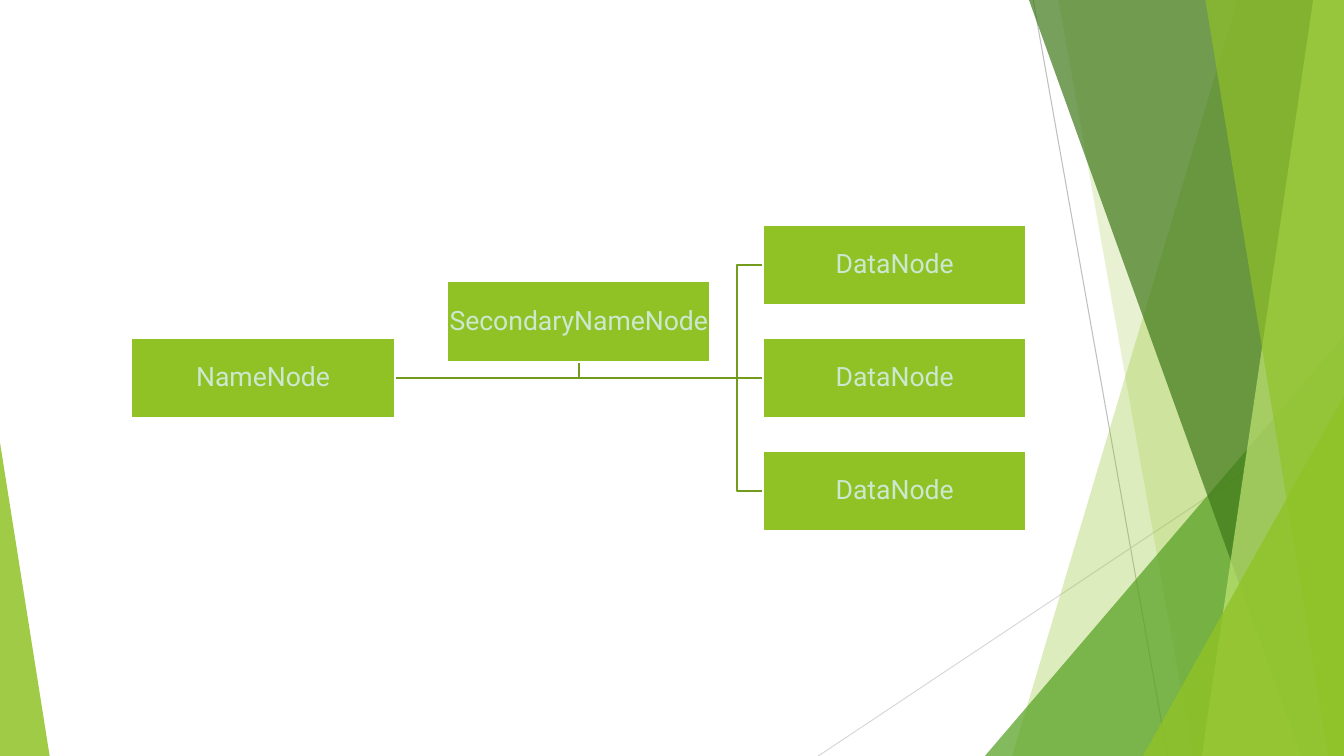
from lxml.etree import SubElement
from pptx import Presentation
from pptx.dml.color import RGBColor
from pptx.enum.shapes import MSO_CONNECTOR, MSO_SHAPE
from pptx.enum.text import MSO_ANCHOR, PP_ALIGN
from pptx.oxml.ns import qn
from pptx.util import Pt

WIDE, HIGH = 960, 540
THEME = {
    "back": "FFFFFF", "ray": "BFBFBF", "pale": "D9D9D9",
    "lime": "90C226", "leaf": "54A021", "moss": "3F7819", "mint": "C0E474",
    "link": "739B1E", "edge": "FFFFFF", "text": "CCE8CF",
    "font": "Roboto", "size": 19, "thin": 0.75, "bold": 1.5,
}

# Nodes of the tree
ROOT = "NameNode"
AIDE = "SecondaryNameNode"
LEAVES = ["DataNode", "DataNode", "DataNode"]

# Rays: start x, y, end x, y, colour
RAYS = [(738, 0, 834, 540, "ray"), (960, 290, 584.5, 540, "pale")]
# Bands reach the right edge: top x, bottom x, colour, opacity
# Peaks are triangles: left, top, width, height, apex, colour, opacity
DECOR = [
    ("band", 884, 723, "lime", 30),
    ("band", 756, 852, "lime", 20),
    ("peak", 703.5, 240, 256.5, 300, 1, "leaf", 72),
    ("band", 735, 929.5, "moss", 70),
    ("band", 938, 858.5, "mint", 70),
    ("band", 861, 949, "lime", 65),
    ("peak", 816.5, 283, 143.5, 257, 1, "lime", 80),
    ("peak", 0, 316, 35.5, 224, 0, "lime", 85),
]

# Tree grid
LEFT, MID = 93.9, 270
BOX_W, BOX_H = 188, 57.6
COL, ROW = 225.6, 80.6
STUB = 18.8

deck = Presentation()
deck.slide_width, deck.slide_height = Pt(WIDE), Pt(HIGH)
slide = deck.slides.add_slide(deck.slide_layouts[6])
shapes = slide.shapes


def tint(name):
    return RGBColor.from_string(THEME[name])


def paint(shape, color, alpha):
    """Fill a shape at the given opacity in percent, with no outline."""
    shape.shadow.inherit = False
    shape.fill.solid()
    shape.fill.fore_color.rgb = tint(color)
    shape.line.fill.background()
    node = shape.fill._xPr.find(qn("a:solidFill"))[0]
    SubElement(node, qn("a:alpha"), val=str(alpha * 1000))


def outline(points, close):
    """Build a freeform through points."""
    spots = [(Pt(x), Pt(y)) for x, y in points]
    pen = shapes.build_freeform(*spots[0])
    pen.add_line_segments(spots[1:], close=close)
    return pen.convert_to_shape()


def band(top, base, color, alpha):
    edge = [(top, 0), (WIDE, 0), (WIDE, HIGH), (base, HIGH)]
    paint(outline(edge, True), color, alpha)


def peak(x, y, w, h, apex, color, alpha):
    shape = shapes.add_shape(MSO_SHAPE.ISOSCELES_TRIANGLE,
                             Pt(x), Pt(y), Pt(w), Pt(h))
    shape.adjustments[0] = apex
    paint(shape, color, alpha)


def stroke(x1, y1, x2, y2, color, width):
    line = shapes.add_connector(MSO_CONNECTOR.STRAIGHT,
                                Pt(x1), Pt(y1), Pt(x2), Pt(y2))
    line.line.color.rgb = tint(color)
    line.line.width = Pt(THEME[width])
    SubElement(line._element.spPr, qn("a:effectLst"))


def link(points):
    """Draw a bent link of the tree."""
    bend = outline(points, False)
    bend.shadow.inherit = False
    bend.fill.background()
    bend.line.color.rgb = tint("link")
    bend.line.width = Pt(THEME["bold"])


def box(label, x, mid):
    shape = shapes.add_shape(MSO_SHAPE.RECTANGLE, Pt(x), Pt(mid - BOX_H / 2),
                             Pt(BOX_W), Pt(BOX_H))
    shape.shadow.inherit = False
    shape.fill.solid()
    shape.fill.fore_color.rgb = tint("lime")
    shape.line.color.rgb = tint("edge")
    shape.line.width = Pt(THEME["bold"])
    frame = shape.text_frame
    frame.word_wrap = False
    frame.vertical_anchor = MSO_ANCHOR.MIDDLE
    frame.margin_left = frame.margin_right = Pt(0.7)
    frame.margin_top = frame.margin_bottom = Pt(0.7)
    para = frame.paragraphs[0]
    para.alignment = PP_ALIGN.CENTER
    para.line_spacing = 0.9
    run = para.add_run()
    run.text = label
    run.font.name = THEME["font"]
    run.font.size = Pt(THEME["size"])
    run.font.color.rgb = tint("text")


slide.background.fill.solid()
slide.background.fill.fore_color.rgb = tint("back")
for ray in RAYS:
    stroke(*ray, "thin")
for kind, *rest in DECOR:
    {"band": band, "peak": peak}[kind](*rest)

start = LEFT + BOX_W
aide_x, leaf_x = LEFT + COL * 1.0, LEFT + COL * 2
aide_y = MID - ROW / 2
fork = leaf_x - STUB
hub = aide_x + BOX_W / 2
rows = [MID + (i - (len(LEAVES) - 1) / 2) * ROW for i in range(len(LEAVES))]

link([(start, MID), (hub, MID), (hub, aide_y + BOX_H / 2)])
for y in rows:
    if y == MID:
        stroke(start, MID, leaf_x, MID, "link", "bold")
    else:
        link([(start, MID), (fork, MID), (fork, y), (leaf_x, y)])

box(ROOT, LEFT, MID)
for label, y in zip(LEAVES, rows):
    box(label, leaf_x, y)
box(AIDE, aide_x, aide_y)

deck.save("out.pptx")
